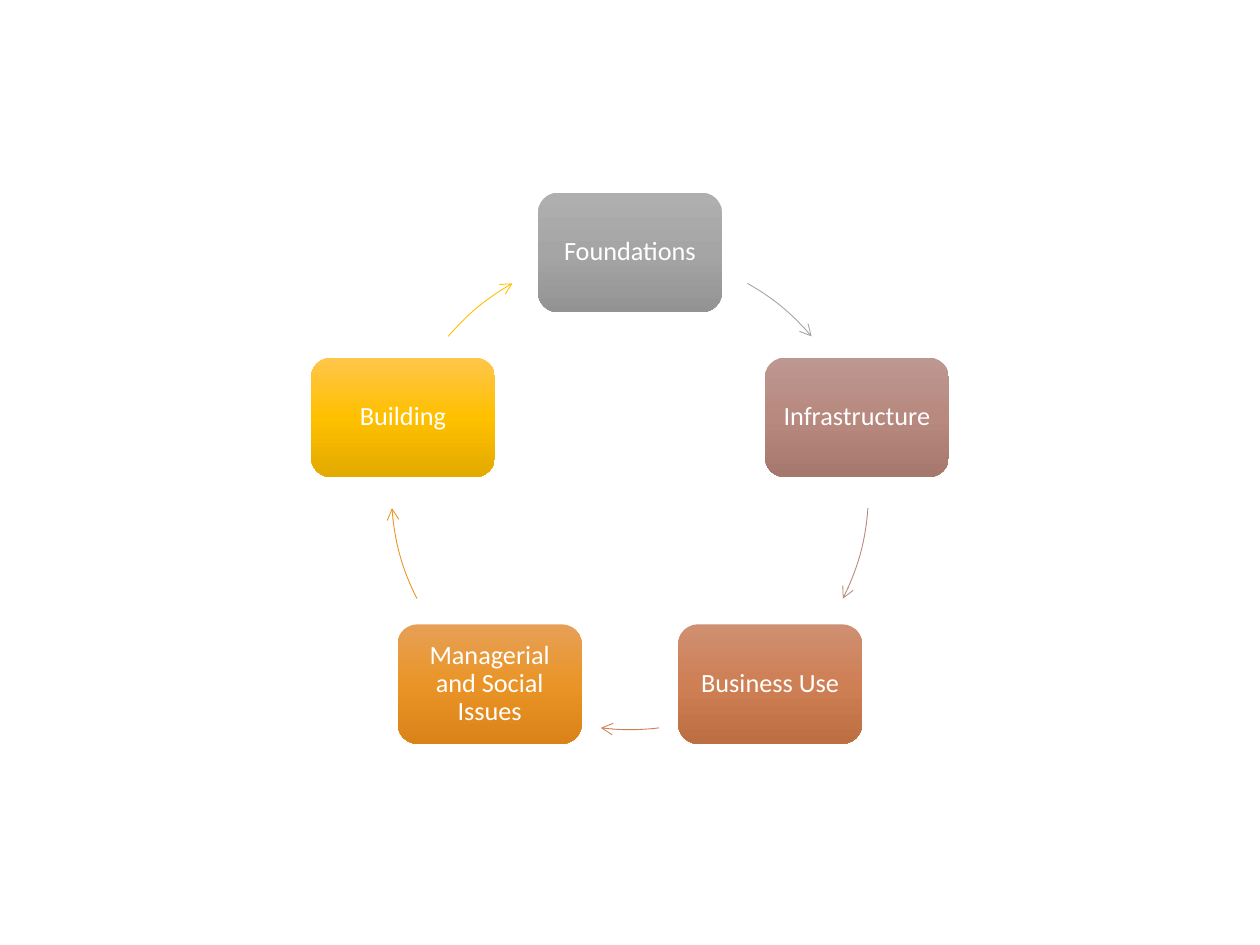
"""Builds a slide with a five-step cycle of rounded boxes joined by curved arrows."""
from copy import deepcopy
from math import cos, radians, sin

from pptx import Presentation
from pptx.dml.color import RGBColor
from pptx.enum.shapes import MSO_SHAPE as Shape
from pptx.enum.text import MSO_ANCHOR as Anchor, PP_ALIGN as Align
from pptx.oxml.ns import qn
from pptx.oxml.xmlchemy import OxmlElement
from pptx.util import Cm, Pt

WHITE = RGBColor(0xFF, 0xFF, 0xFF)
GREYS = [RGBColor(0xAF, 0xAF, 0xAF), RGBColor(0xA5, 0xA5, 0xA5), RGBColor(0x93, 0x93, 0x93)]
ROSES = [RGBColor(0xBD, 0x98, 0x91), RGBColor(0xB7, 0x89, 0x7F), RGBColor(0xA5, 0x77, 0x6D)]
COPPERS = [RGBColor(0xCF, 0x90, 0x72), RGBColor(0xCE, 0x7F, 0x54), RGBColor(0xBD, 0x6E, 0x43)]
ORANGES = [RGBColor(0xE6, 0xA0, 0x56), RGBColor(0xEA, 0x94, 0x27), RGBColor(0xDA, 0x83, 0x19)]
GOLDS = [RGBColor(0xFF, 0xC6, 0x4B), RGBColor(0xFF, 0xC0, 0x00), RGBColor(0xE3, 0xAA, 0x00)]

# label, gradient, start and end angle of the arrow that follows
STEPS = [
    ("Foundations", GREYS, 299.5, 319.6),
    ("Infrastructure", ROSES, 4.1, 26.8),
    ("Business Use", COPPERS, 83, 97),
    ("Managerial and Social Issues", ORANGES, 153.2, 175.9),
    ("Building", GOLDS, 220.4, 240.5),
]

CENTER_X, CENTER_Y, RADIUS = 12.7, 9.9, 4.81
BOX_WIDTH, BOX_HEIGHT, INSET = 3.71, 2.41, Cm(0.15)


def fill_gradient(box, colors):
    box.fill.gradient()
    box.fill.gradient_angle = 270
    stop_list = box._element.spPr.find(qn("a:gradFill")).find(qn("a:gsLst"))
    stop_list.append(deepcopy(stop_list[-1]))
    for stop, color, position in zip(box.fill.gradient_stops, colors, (0, 0.5, 1)):
        stop.color.rgb = color
        stop.position = position


def add_box(slide, label, colors, angle):
    left = CENTER_X + RADIUS * cos(angle) - BOX_WIDTH / 2
    top = CENTER_Y + RADIUS * sin(angle) - BOX_HEIGHT / 2
    box = slide.shapes.add_shape(
        Shape.ROUNDED_RECTANGLE, Cm(left), Cm(top), Cm(BOX_WIDTH), Cm(BOX_HEIGHT))
    box.shadow.inherit = False
    box.line.fill.background()
    fill_gradient(box, colors)
    frame = box.text_frame
    frame.word_wrap = True
    frame.vertical_anchor = Anchor.MIDDLE
    frame.margin_left = frame.margin_right = frame.margin_top = frame.margin_bottom = INSET
    frame.text = label
    paragraph = frame.paragraphs[0]
    paragraph.alignment = Align.CENTER
    paragraph.line_spacing = 0.9
    paragraph.font.name = "Calibri"
    paragraph.font.size = Pt(15)
    paragraph.font.color.rgb = WHITE


def add_arrow(slide, color, start, end):
    arc = slide.shapes.add_shape(
        Shape.ARC, Cm(CENTER_X - RADIUS), Cm(CENTER_Y - RADIUS), Cm(2 * RADIUS), Cm(2 * RADIUS))
    arc.shadow.inherit = False
    arc.fill.background()
    for index, degrees in enumerate((start, end)):
        arc.adjustments[index] = degrees * 0.6
    arc.line.color.rgb = color
    arc.line.width = Pt(0.5)
    head = OxmlElement("a:tailEnd")
    head.set("type", "arrow")
    arc.line._get_or_add_ln().append(head)


def main():
    deck = Presentation()
    deck.slide_width, deck.slide_height = Cm(25.4), Cm(19.05)
    slide = deck.slides.add_slide(deck.slide_layouts[6])
    for index, (label, colors, start, end) in enumerate(STEPS):
        add_box(slide, label, colors, radians(360 / len(STEPS) * index - 90))
        add_arrow(slide, colors[1], start, end)
    deck.save("out.pptx")


if __name__ == "__main__":
    main()
